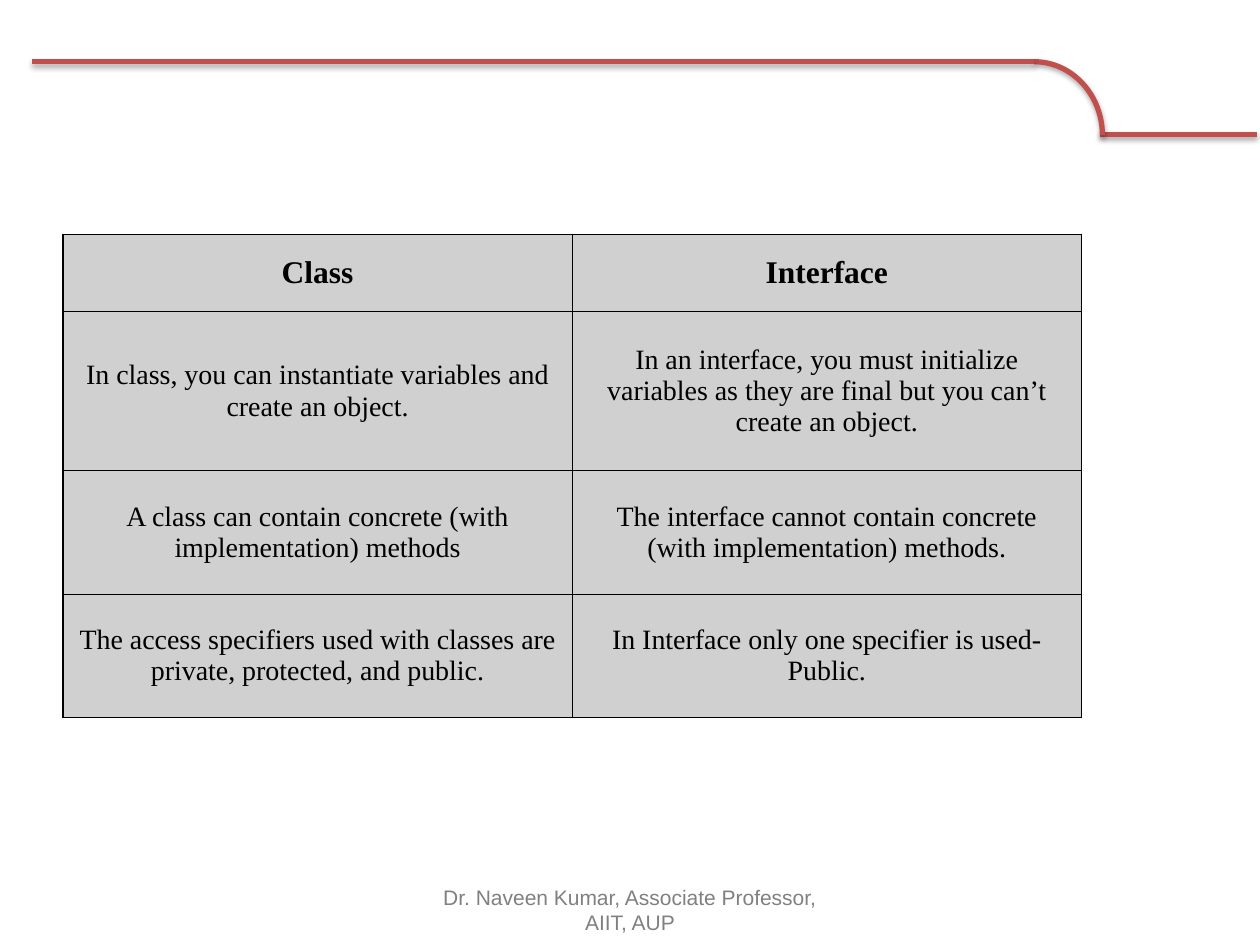
"""Build a slide that compares classes and interfaces in a table."""
from lxml.etree import fromstring
from pptx import Presentation
from pptx.dml.color import RGBColor as Rgb
from pptx.enum.shapes import MSO_CONNECTOR as Conn, MSO_SHAPE as Shape
from pptx.enum.text import MSO_ANCHOR as Anchor, PP_ALIGN as Align
from pptx.util import Pt

COLORS = {"red": "C0504D", "black": "000000", "cell": "D0D0D0", "gray": "808080"}
NS = 'xmlns:a="http://schemas.openxmlformats.org/drawingml/2006/main"'
ROWS = [
    ("Class", "Interface"),
    ("In class, you can instantiate variables and create an object.",
     "In an interface, you must initialize variables as they are final "
     "but you can’t create an object."),
    ("A class can contain concrete (with implementation) methods",
     "The interface cannot contain concrete (with implementation) methods."),
    ("The access specifiers used with classes are private, protected, and public.",
     "In Interface only one specifier is used- Public."),
]
HEIGHTS = (44, 91, 70.5, 70.5)


def color(name):
    return Rgb.from_string(COLORS[name])


def style(item):
    item.line.color.rgb = color("red")
    item.line.width = Pt(3)
    item._element.spPr.append(fromstring(
        f'<a:effectLst {NS}><a:outerShdw blurRad="{Pt(3.1)}" dist="{Pt(1.8)}" '
        f'dir="5400000" rotWithShape="0"><a:srgbClr val="{COLORS["black"]}">'
        '<a:alpha val="35000"/></a:srgbClr></a:outerShdw></a:effectLst>'))


def rule(slide, start, end, top):
    style(slide.shapes.add_connector(
        Conn.STRAIGHT, Pt(start), Pt(top), Pt(end), Pt(top)))


def curve(slide, left, top, width, height):
    arc = slide.shapes.add_shape(
        Shape.ARC, Pt(left), Pt(top), Pt(width), Pt(height))
    arc.fill.background()
    style(arc)


def write(frame, text, size, face, tint, bold=False):
    frame.word_wrap = True
    par = frame.paragraphs[0]
    par.alignment = Align.CENTER
    run = par.add_run()
    run.text = text
    font = run.font
    font.size, font.name, font.bold = Pt(size), face, bold
    font.color.rgb = color(tint)


def border(cell):
    props = cell._tc.get_or_add_tcPr()
    for side in "LRTB":
        props.append(fromstring(
            f'<a:ln{side} {NS} w="{Pt(0.75)}"><a:solidFill>'
            f'<a:srgbClr val="{COLORS["black"]}"/></a:solidFill></a:ln{side}>'))


def fill_cell(cell, text, head, side):
    border(cell)
    cell.fill.solid()
    cell.fill.fore_color.rgb = color("cell")
    cell.vertical_anchor = Anchor.MIDDLE
    cell.margin_left = cell.margin_right = Pt(side)
    cell.margin_top = cell.margin_bottom = Pt(7.2 if head else 10.8)
    write(cell.text_frame, text, 18 if head else 16,
          "Times New Roman", "black", head)


def add_grid(slide):
    grid = slide.shapes.add_table(
        len(ROWS), 2, Pt(36), Pt(134), Pt(582), Pt(sum(HEIGHTS))).table
    for row, (texts, height) in enumerate(zip(ROWS, HEIGHTS)):
        grid.rows[row].height = Pt(height)
        for col, text in enumerate(texts):
            side = 3 if row == col == 0 else 7.2
            fill_cell(grid.cell(row, col), text, row == 0, side)


def add_footer(slide):
    box = slide.shapes.add_textbox(Pt(246), Pt(505.5), Pt(228), Pt(28.8))
    box.text_frame.vertical_anchor = Anchor.MIDDLE
    write(box.text_frame, "Dr. Naveen Kumar, Associate Professor, AIIT, AUP",
          12, "Arial", "gray")


def main():
    deck = Presentation()
    deck.slide_width, deck.slide_height = Pt(720), Pt(540)
    slide = deck.slides.add_slide(deck.slide_layouts[6])
    rule(slide, 628.5, 718.5, 77)
    curve(slide, 552, 35.25, 78, 84)
    rule(slide, 591, 18, 35.25)
    add_grid(slide)
    add_footer(slide)
    deck.save("out.pptx")


if __name__ == "__main__":
    main()
